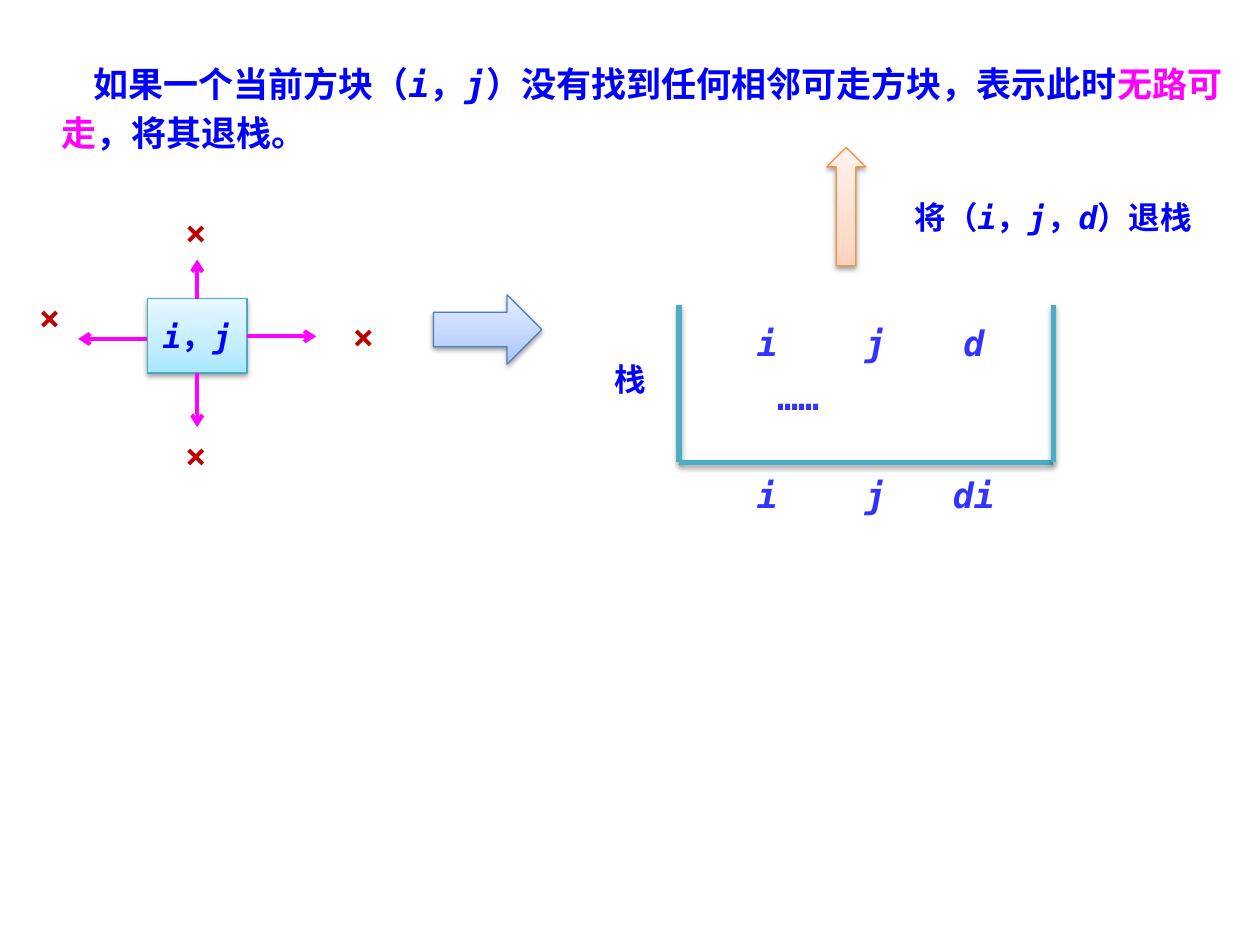
from lxml import etree
from pptx import Presentation
from pptx import util as u
from pptx.dml.color import RGBColor
from pptx.enum import shapes, text
from pptx.oxml import parse_xml
from pptx.oxml.ns import nsdecls, qn

MONO, CJK = "DejaVu Sans Mono", "Noto Sans CJK SC"
BLUE, VIOLET, PINK, RED, TEAL = "0000FF", "3333FF", "FF00FF", "C00000", "4BACC6"


def rgb(value):
    """Turn a hex string into a colour."""
    return RGBColor.from_string(value)


def add_runs(p, runs, size, color, font=MONO):
    """Add bold runs given as (text, italic) or (text, italic, color)."""
    for words, italic, *other in runs:
        r = p.add_run()
        r.text = words
        r.font.size = u.Pt(size)
        r.font.bold = True
        r.font.italic = italic
        r.font.name = font
        r.font.color.rgb = rgb(other[0] if other else color)
        east = CJK if any(ord(ch) >= 0x3000 for ch in words) else font
        etree.SubElement(r._r.get_or_add_rPr(), qn("a:ea")).set("typeface", east)


def add_label(s, box, runs, size=20, color=VIOLET, font=MONO, align=text.PP_ALIGN.CENTER):
    """Add a wrapping text box and return its paragraph."""
    tf = s.shapes.add_textbox(*map(u.Inches, box)).text_frame
    tf.word_wrap = True
    p = tf.paragraphs[0]
    p.alignment = align
    add_runs(p, runs, size, color, font)
    return p


def add_shadow(sp, alpha, dist):
    """Give a shape a soft shadow that falls straight down."""
    sp._element.spPr.append(parse_xml(
        f'<a:effectLst {nsdecls("a")}><a:outerShdw blurRad="{u.Pt(3.1)}" dist="{u.Pt(dist)}" '
        f'dir="5400000" rotWithShape="0"><a:srgbClr val="000000"><a:alpha val="{alpha}000"/>'
        '</a:srgbClr></a:outerShdw></a:effectLst>'))


def add_block(s, kind, box, colors, line):
    """Add a preset shape with an upward gradient and a shadow."""
    sp = s.shapes.add_shape(kind, *map(u.Inches, box))
    stops = "".join(f'<a:gs pos="{pos}000"><a:srgbClr val="{c}"/></a:gs>'
                    for pos, c in zip((0, 35, 100), colors))
    sp.fill.gradient()
    grad = sp._element.spPr.find(qn("a:gradFill"))
    grad.getparent().replace(grad, parse_xml(
        f'<a:gradFill {nsdecls("a")} rotWithShape="1"><a:gsLst>{stops}</a:gsLst>'
        '<a:lin ang="16200000" scaled="0"/></a:gradFill>'))
    sp.line.color.rgb = rgb(line)
    sp.line.width = u.Pt(0.75)
    add_shadow(sp, 38, 1.6)
    return sp


def add_line(s, start, end, color, width, arrow=False):
    """Add a straight line, either an arrow or a shadowed wall."""
    cn = s.shapes.add_connector(shapes.MSO_CONNECTOR.STRAIGHT, *map(u.Inches, (*start, *end)))
    cn.line.color.rgb = rgb(color)
    cn.line.width = u.Pt(width)
    if arrow:
        etree.SubElement(cn.line._get_or_add_ln(), qn("a:tailEnd")).set("type", "arrow")
        etree.SubElement(cn._element.spPr, qn("a:effectLst"))
    else:
        add_shadow(cn, 35, 1.8)


def add_statement(s, box):
    """Add the sentence at the top."""
    p = add_label(s, box, [
        ("如果一个当前方块（", False), ("i", True), ("，", False), ("j", True),
        ("）没有找到任何相邻可走方块，表示此时", False),
        ("无路可走", False, PINK), ("，将其退栈。", False),
    ], color=BLUE, align=text.PP_ALIGN.LEFT)
    p.line_spacing = u.Pt(28)
    p._p.get_or_add_pPr().set("indent", str(u.Inches(0.25)))


def add_blocked_cell(s, box):
    """Add the current cell with four blocked directions around it."""
    x, y, w, h = box
    sp = add_block(s, shapes.MSO_SHAPE.RECTANGLE, box, ("A7E6FF", "C1EDFF", "E7F8FF"), "46AAC5")
    tf = sp.text_frame
    tf.word_wrap = False
    tf.vertical_anchor = text.MSO_ANCHOR.MIDDLE
    tf.paragraphs[0].alignment = text.PP_ALIGN.CENTER
    add_runs(tf.paragraphs[0], [("i", True), ("，", False), ("j", True)], 18, BLUE)
    mid = x + w / 2
    directions = [
        ((x + w, y + 0.3), (0.55, 0), (1.4, 0.08)),
        ((mid, y + h), (0, 0.43), (0.07, 1.02)),
        ((x, y + 0.32), (-0.55, 0), (-1.09, -0.07)),
        ((mid, y), (0, -0.31), (0.07, -0.75)),
    ]
    for (sx, sy), (dx, dy), (cx, cy) in directions:
        add_line(s, (sx, sy), (sx + dx, sy + dy), PINK, 2.25, arrow=True)
        add_label(s, (x + cx, y + cy, 0.63, 0.44), [("×", False)], color=RED)


def add_stack(s, box):
    """Add the open stack, its entries, field names and pop arrow."""
    x, y, w, h = box
    corners = [(x, y), (x, y + h), (x + w, y + h), (x + w, y)]
    for start, end in zip(corners, corners[1:]):
        add_line(s, start, end, TEAL, 3)
    for top, names in ((0.08, ("i", "j", "d")), (1.29, ("i", "j", "di"))):
        for left, name in zip((0.31, 1.17, 1.95), names):
            add_label(s, (x + left, y + top, 0.78, 0.44), [(name, True)])
    add_label(s, (x + 0.24, y + 0.51, 1.41, 0.44), [("……", False)])
    add_label(s, (x - 0.86, y + 0.39, 0.94, 0.4), [("栈", False)], 18, BLUE, CJK)
    add_label(s, (x + 1.64, y - 0.9, 2.66, 0.4), [
        ("将（", False), ("i", True), ("，", False), ("j", True),
        ("，", False), ("d", True), ("）退栈", False)], 18, BLUE)
    add_block(s, shapes.MSO_SHAPE.UP_ARROW, (x + 1.17, y - 1.25, 0.31, 0.94),
              ("FFD2BD", "FFDED0", "FFF2ED"), "F69240")


def main():
    """Build the slide and save it."""
    prs = Presentation()
    prs.slide_width, prs.slide_height = u.Inches(10), u.Inches(7.5)
    s = prs.slides.add_slide(prs.slide_layouts[6])
    add_statement(s, (0.39, 0.39, 9.45, 0.86))
    add_blocked_cell(s, (1.17, 2.37, 0.79, 0.59))
    add_block(s, shapes.MSO_SHAPE.RIGHT_ARROW, (3.44, 2.34, 0.86, 0.55),
              ("A4C4FF", "BFD4FF", "E6EEFF"), "4B7EBC")
    add_stack(s, (5.39, 2.42, 2.97, 1.25))
    prs.save("out.pptx")


if __name__ == "__main__":
    main()
